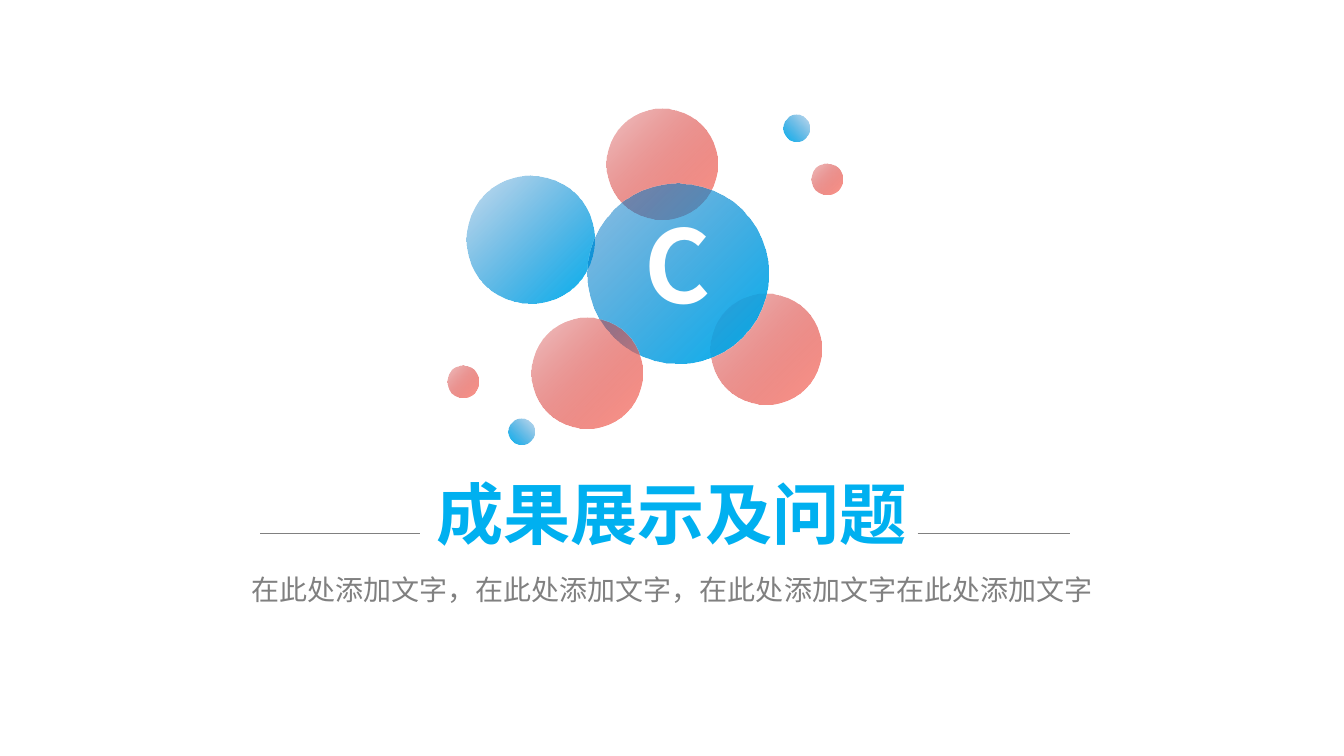
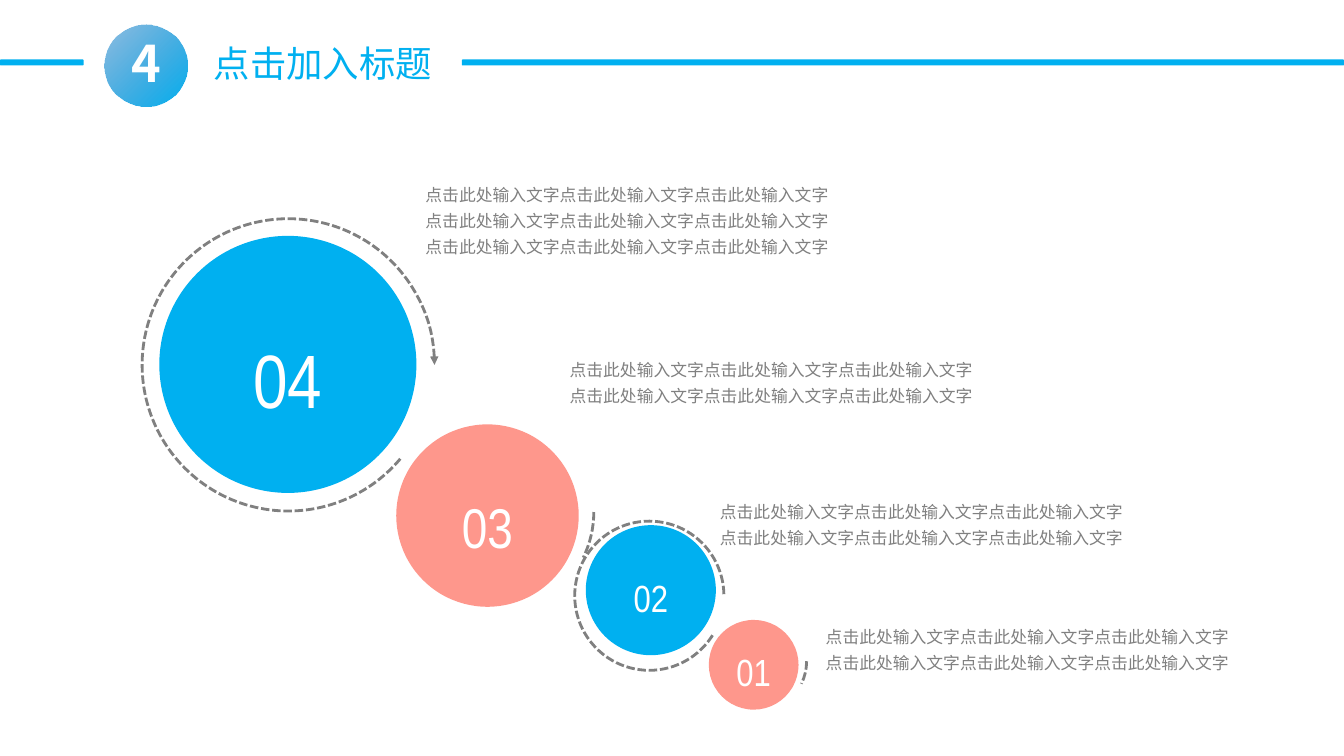
from pptx import Presentation
from pptx.dml.color import RGBColor
from pptx.enum.dml import MSO_LINE
from pptx.enum.shapes import MSO_CONNECTOR, MSO_SHAPE
from pptx.enum.text import MSO_ANCHOR, MSO_AUTO_SIZE, PP_ALIGN
from pptx.oxml.ns import qn
from pptx.util import Inches, Pt
from lxml import etree

OVAL, ARC, ROUNDED = MSO_SHAPE.OVAL, MSO_SHAPE.ARC, MSO_SHAPE.ROUNDED_RECTANGLE
LEFT, CENTER, JUSTIFY = PP_ALIGN.LEFT, PP_ALIGN.CENTER, PP_ALIGN.JUSTIFY
TOP, MIDDLE = MSO_ANCHOR.TOP, MSO_ANCHOR.MIDDLE

COLORS = {"blue": "00B0F0", "navy": "0070C0", "pink": "FE978C", "red": "C00000",
          "grey": "808080", "white": "FFFFFF"}
HEAD, NUMBER, BODY = "Noto Sans CJK SC", "Arial Narrow", "Calibri"
GRADIENTS = {"blue": ("navy", "blue"), "pink": ("red", "pink")}
FALLING_RIGHT, FALLING_LEFT = 315, 225

SECTION = {
    "letter": "C",
    "title": "成果展示及问题",
    "subtitle": "在此处添加文字，在此处添加文字，在此处添加文字在此处添加文字",
}
# colour, left, top, diameter, opacity at the pale end, gradient angle
BUBBLES = [
    ("pink", 6.02, 1.08, 1.1, 22, FALLING_RIGHT),
    ("pink", 7.05, 2.91, 1.1, 22, FALLING_RIGHT),
    ("blue", 4.63, 1.74, 1.27, 22, FALLING_RIGHT),
    ("blue", 5.83, 1.82, 1.79, 44, FALLING_RIGHT),
    ("blue", 7.77, 1.14, 0.26, 22, FALLING_LEFT),
    ("pink", 8.05, 1.62, 0.31, 22, FALLING_RIGHT),
    ("pink", 5.27, 3.15, 1.1, 22, FALLING_RIGHT),
    ("blue", 5.04, 4.15, 0.26, 22, FALLING_LEFT),
    ("pink", 4.44, 3.63, 0.31, 22, FALLING_RIGHT),
]
LETTER_BUBBLE = 3
RULES = [(2.58, 4.17), (9.1, 10.61)]
RULE_Y = 5.29

PAGE = {"number": "4", "title": "点击加入标题"}
BANDS = [(0, 0.83), (4.58, 8.75)]  # left, width
SENTENCE = "点击此处输入文字" * 3
# number, colour, left, top, diameter, size, text box (left, top, width), lines
STEPS = [
    ("04", "blue", 1.58, 2.34, 2.55, 54, (4.15, 1.73, 6.44), 3),
    ("03", "pink", 3.93, 4.21, 1.81, 40, (5.58, 3.47, 6.03), 2),
    ("02", "blue", 5.81, 5.21, 1.29, 27, (7.07, 4.88, 5.85), 2),
    ("01", "pink", 7.03, 6.15, 0.89, 27, (8.12, 6.12, 5.2), 2),
]
# centre x, centre y, radius, start and end in clockwise degrees
TRAIL = [
    (2.86, 3.62, 1.45, 40, 309),
    (4.86, 5.08, 1.03, 212, 26),
    (6.44, 5.91, 0.74, 32, 206),
    (7.49, 6.56, 0.51, 213, 26),
]


def rgb(name):
    return RGBColor.from_string(COLORS[name])


def put_text(sp, lines, size, color, font=HEAD, bold=False, align=CENTER, anchor=MIDDLE,
             spacing=1.0, tracking=None, margins=(0, 0, 0, 0), wrap=True):
    """Fill a shape with one paragraph per line; margins run left, top, right, bottom."""
    tf = sp.text_frame
    tf.word_wrap, tf.auto_size, tf.vertical_anchor = wrap, MSO_AUTO_SIZE.NONE, anchor
    tf.margin_left, tf.margin_top, tf.margin_right, tf.margin_bottom = map(Inches, margins)
    for i, line in enumerate(lines):
        p = tf.add_paragraph() if i else tf.paragraphs[0]
        p.alignment, p.line_spacing, p.space_before = align, spacing, Pt(0)
        r = p.add_run()
        r.text = line
        r.font.size, r.font.bold, r.font.name = Pt(size), bold, font
        r.font.color.rgb = rgb(color)
        props = r.font._element
        etree.SubElement(props, qn("a:ea")).set("typeface", font)
        if tracking is not None:
            props.set("spc", str(tracking * 100))


def place(sp, left, top, width, height):
    sp.left, sp.top, sp.width, sp.height = map(Inches, (left, top, width, height))
    return sp


def add_shape(slide, kind, left, top, width, height, color=None):
    sp = slide.shapes.add_shape(kind, *map(Inches, (left, top, width, height)))
    sp.shadow.inherit = False
    if color:
        sp.fill.solid()
        sp.fill.fore_color.rgb = rgb(color)
    else:
        sp.fill.background()
    sp.line.fill.background()
    return sp


def add_bubble(slide, color, left, top, size, opacity, angle):
    """Add a circle whose gradient starts half transparent and ends solid."""
    sp = add_shape(slide, OVAL, left, top, size, size)
    sp.fill.gradient()
    sp.fill.gradient_angle = angle
    for stop, name in zip(sp.fill.gradient_stops, GRADIENTS[color]):
        stop.color.rgb = rgb(name)
    pale = next(sp._element.spPr.iter(qn("a:srgbClr")))
    etree.SubElement(pale, qn("a:alpha")).set("val", str(opacity * 1000))
    return sp


def add_rule(slide, start, end, y):
    line = slide.shapes.add_connector(MSO_CONNECTOR.STRAIGHT,
                                      *map(Inches, (start, y, end, y)))
    line.line.color.rgb = rgb("grey")
    line.line.width = Pt(0.75)
    etree.SubElement(line._element.spPr, qn("a:effectLst"))


def add_trail_arc(slide, x, y, radius, start, end):
    sp = add_shape(slide, ARC, x - radius, y - radius, 2 * radius, 2 * radius)
    for i, degrees in enumerate((start, end)):
        signed = degrees - 360 if degrees > 180 else degrees
        sp.adjustments[i] = signed * 0.6  # 60000 units a degree, scaled by 100000
    sp.line.color.rgb = rgb("grey")
    sp.line.width = Pt(2)
    sp.line.dash_style = MSO_LINE.SQUARE_DOT
    return sp


def build_section(prs):
    slide = prs.slides.add_slide(prs.slide_layouts[0])
    title, subtitle = slide.placeholders
    bubbles = [add_bubble(slide, *bubble) for bubble in BUBBLES]
    put_text(bubbles[LETTER_BUBBLE], [SECTION["letter"]], 72, "white", bold=True,
             tracking=-3, margins=(0, 0, 0, 0.2))
    place(title, 3.85, 4.63, 5.62, 0.91)
    put_text(title, [SECTION["title"]], 48, "blue", bold=True)
    place(subtitle, 1.43, 5.63, 10.47, 0.44)
    put_text(subtitle, [SECTION["subtitle"]], 20, "grey")
    for start, end in RULES:
        add_rule(slide, start, end, RULE_Y)


def build_steps(prs):
    slide = prs.slides.add_slide(prs.slide_layouts[5])
    place(slide.shapes.title, 2.02, 0.35, 2.39, 0.54)
    put_text(slide.shapes.title, [PAGE["title"]], 26, "blue", align=LEFT,
             margins=(0.1, 0, 0, 0), wrap=False)
    for left, width in BANDS:
        add_shape(slide, ROUNDED, left, 0.59, width, 0.06, "blue")
    badge = add_bubble(slide, "blue", 1.04, 0.24, 0.82, 44, FALLING_RIGHT)
    put_text(badge, [PAGE["number"]], 36, "white", bold=True, tracking=-3,
             margins=(0, 0, 0, 0.07))

    arcs = [add_trail_arc(slide, *arc) for arc in TRAIL]
    arrow = etree.SubElement(arcs[0].line._get_or_add_ln(), qn("a:tailEnd"))
    arrow.set("type", "triangle")

    for number, color, left, top, size, points, (x, y, width), count in STEPS:
        circle = add_shape(slide, OVAL, left, top, size, size, color)
        put_text(circle, [number], points, "white", font=NUMBER, spacing=1.3)
        box = slide.shapes.add_textbox(*map(Inches, (x, y, width, 0.08 + 0.26 * count)))
        put_text(box, [SENTENCE] * count, 12, "grey", font=BODY, align=JUSTIFY, anchor=TOP,
                 spacing=1.3, margins=(0.07, 0.04, 0.07, 0.04))


def main():
    prs = Presentation()
    prs.slide_width, prs.slide_height = Inches(13.33), Inches(7.5)
    build_section(prs)
    build_steps(prs)
    prs.save("out.pptx")


if __name__ == "__main__":
    main()
